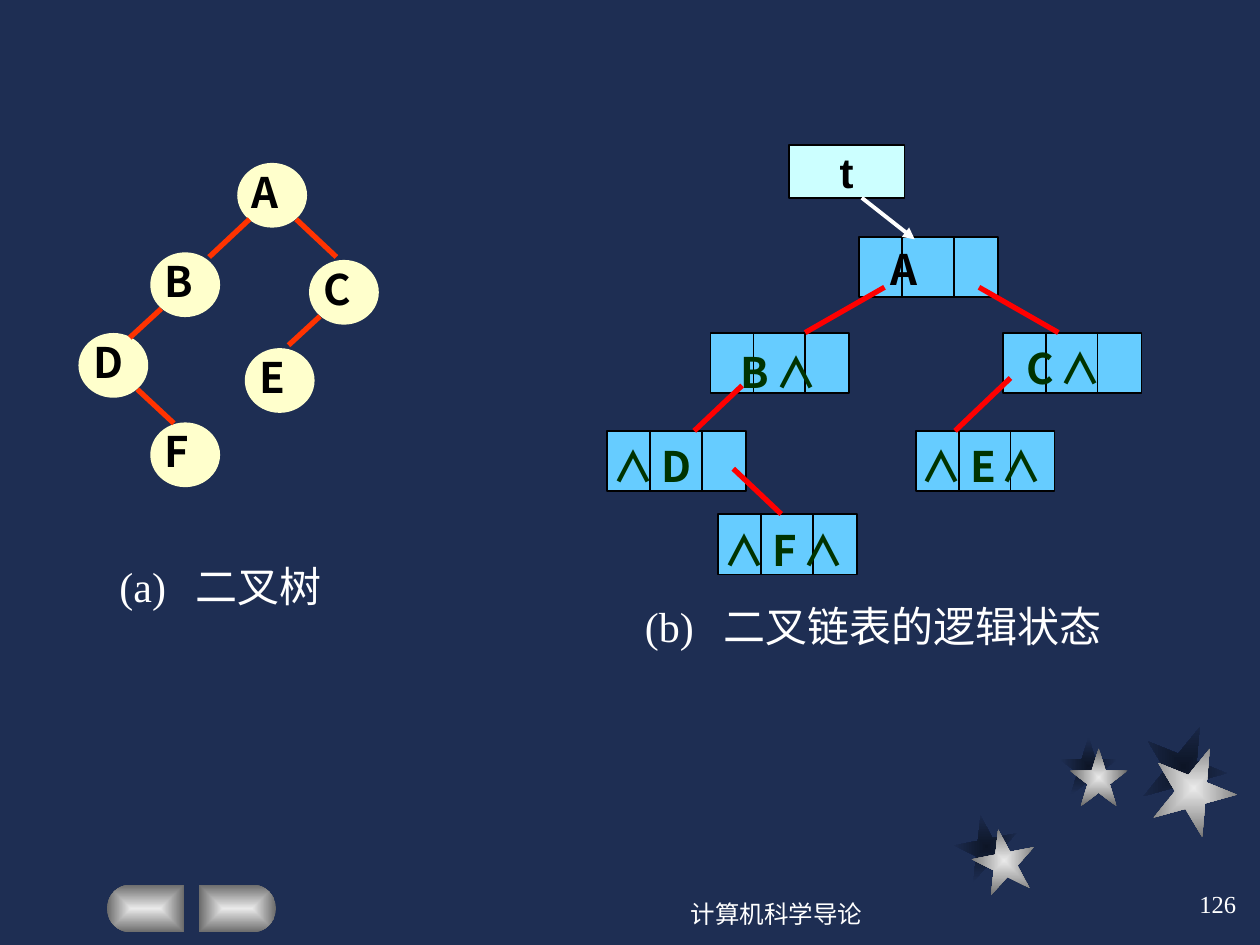
from math import cos, pi, sin

from lxml.etree import SubElement
from pptx import Presentation
from pptx.dml.color import RGBColor
from pptx.enum.shapes import MSO_CONNECTOR, MSO_SHAPE
from pptx.enum.text import MSO_ANCHOR, PP_ALIGN
from pptx.oxml import parse_xml
from pptx.oxml.ns import nsdecls, qn
from pptx.util import Inches, Pt

COLORS = {
    "background": "1E2E53", "shade": "0D1526", "silver": "EAEAEA", "steel": "6B6B6B",
    "node": "FFFFCC", "branch": "FF3300", "record": "66CCFF", "pointer": "CCFFFF",
    "link": "FF0000", "label": "003300", "black": "000000", "white": "FFFFFF",
}
CJK_FONT = "Noto Sans CJK SC"
SERIF_FONT = "Times New Roman"


def color(name):
    """Return the named palette colour."""
    return RGBColor.from_string(COLORS[name])


def fill_text(frame, pieces, font=CJK_FONT, fill="black", bold=False,
              align=PP_ALIGN.LEFT, anchor=MSO_ANCHOR.TOP, tab=None):
    """Write (text, size) pieces as one formatted paragraph."""
    frame.word_wrap = True
    frame.vertical_anchor = anchor
    para = frame.paragraphs[0]
    para.alignment = align
    if tab:
        stops = SubElement(para._p.get_or_add_pPr(), qn("a:tabLst"))
        SubElement(stops, qn("a:tab"), pos=str(Inches(tab)), algn="l")
    for text, size in pieces:
        span = para.add_run()
        span.text = text
        span.font.name = font
        span.font.size = Pt(size)
        span.font.bold = bold
        span.font.color.rgb = color(fill)
        SubElement(span._r.get_or_add_rPr(), qn("a:ea"), typeface=CJK_FONT)


def add_text(page, left, top, width, height, pieces, **style):
    """Add a text box holding one paragraph."""
    box = page.shapes.add_textbox(Inches(left), Inches(top), Inches(width), Inches(height))
    fill_text(box.text_frame, pieces, **style)


def add_box(page, preset, left, top, width, height, fill, line):
    """Add a filled preset shape with a thin outline."""
    shape = page.shapes.add_shape(preset, Inches(left), Inches(top), Inches(width), Inches(height))
    shape.shadow.inherit = False
    shape.fill.solid()
    shape.fill.fore_color.rgb = color(fill)
    shape.line.color.rgb = color(line)
    shape.line.width = Pt(1)
    return shape


def add_line(page, left, top, ends, stroke, width, arrow=False):
    """Draw a straight line whose ends are relative to the given corner."""
    x1, y1, x2, y2 = ends
    line = page.shapes.add_connector(
        MSO_CONNECTOR.STRAIGHT, Inches(left + x1), Inches(top + y1),
        Inches(left + x2), Inches(top + y2))
    line.line.color.rgb = color(stroke)
    line.line.width = Pt(width)
    if arrow:
        SubElement(line.line._get_or_add_ln(), qn("a:tailEnd"), type="triangle")
    SubElement(line._element.spPr, qn("a:effectLst"))


def set_glow(shape, center, edge):
    """Fill a shape with a rectangular gradient and no outline."""
    shape.shadow.inherit = False
    shape.line.fill.background()
    gradient = parse_xml(
        f'<a:gradFill {nsdecls("a")} rotWithShape="1"><a:gsLst>'
        f'<a:gs pos="0"><a:srgbClr val="{COLORS[center]}"/></a:gs>'
        f'<a:gs pos="100000"><a:srgbClr val="{COLORS[edge]}"/></a:gs></a:gsLst>'
        '<a:path path="rect"><a:fillToRect l="50000" t="50000" r="50000" b="50000"/></a:path>'
        '</a:gradFill>')
    shape._element.spPr.find(qn("a:ln")).addprevious(gradient)


def add_stars(page, left, top):
    """Place three silver stars above their dark shadows."""
    layers = [
        ("shade", "background", [(0, 0.72), (0.83, 0.1), (1.48, 0)]),
        ("silver", "steel", [(0.14, 0.83), (0.91, 0.19), (1.56, 0.17)]),
    ]
    forms = [(0.5, 349), (0.46, 0), (0.67, 22)]
    for center, edge, places in layers:
        for (x, y), (size, turn) in zip(places, forms):
            star = page.shapes.add_shape(
                MSO_SHAPE.STAR_5_POINT, Inches(left + x), Inches(top + y),
                Inches(size), Inches(size))
            star.rotation = turn
            set_glow(star, center, edge)


def add_button(page, flat_x, top, direction, width=0.61, height=0.38):
    """Draw a button with a flat side and a round end in the given direction."""
    radius = height / 2
    hub = flat_x + direction * (width - radius)
    angles = [pi * step / 20 - pi / 2 for step in range(21)]
    curve = [(Inches(hub + direction * radius * cos(angle)),
              Inches(top + radius + radius * sin(angle))) for angle in angles]
    builder = page.shapes.build_freeform(Inches(flat_x), Inches(top))
    builder.add_line_segments(curve + [(Inches(flat_x), Inches(top + height))], close=True)
    set_glow(builder.convert_to_shape(), "silver", "steel")


def add_tree(page, left, top):
    """Draw the binary tree with its nodes and branches."""
    nodes = {"A": (1.26, 0), "F": (0.57, 2.06), "E": (1.32, 1.47),
             "D": (0, 1.35), "C": (1.83, 0.77), "B": (0.57, 0.71)}
    branches = [(1.35, 0.44, 1.03, 0.74), (0.46, 1.79, 0.75, 2.06), (1.72, 0.44, 2.04, 0.74),
                (1.91, 1.21, 1.66, 1.44), (0.65, 1.15, 0.4, 1.38)]
    for name, (x, y) in nodes.items():
        add_box(page, MSO_SHAPE.OVAL, left + x, top + y, 0.54, 0.5, "node", "node")
        add_text(page, left + x + 0.01, top + y - 0.03, 0.7, 0.5, [(name, 24)], bold=True)
    for ends in branches:
        add_line(page, left, top, ends, "branch", 3)


def add_record(page, left, top, pieces, shift, drop, fill):
    """Draw one three-field record and its label."""
    width, height = 1.1, 0.48
    add_box(page, MSO_SHAPE.RECTANGLE, left, top, width, height, "record", "black")
    for x in (0.34, 0.75):
        add_line(page, left, top, (x, 0, x, height), "black", 1)
    add_text(page, left + shift, top + drop, 1.32, 0.5, pieces, fill=fill, bold=True)


def add_linked_list(page, left, top):
    """Draw the linked records, their links and the root pointer."""
    null = ("∧", 24)
    records = [
        (0, 2.27, [null, (" ", 18), ("D", 24)], -0.06, 0.03, "label"),
        (2, 0.73, [("A", 24)], 0.15, 0, "black"),
        (0.82, 1.49, [("B", 24), (" ", 16), null], 0.14, 0.06, "label"),
        (3.14, 1.49, [("C", 24), (" ", 14), null], 0.09, 0.03, "label"),
        (2.45, 2.27, [null, (" ", 18), ("E", 24), (" ", 12), null], -0.06, 0.03, "label"),
        (0.88, 2.93, [null, (" ", 18), ("F", 24), (" ", 14), null], -0.06, 0.03, "label"),
    ]
    links = [(2.2, 1.13, 1.57, 1.49), (2.95, 1.13, 3.58, 1.49), (1.07, 1.91, 0.69, 2.27),
             (3.2, 1.85, 2.76, 2.27), (1, 2.57, 1.38, 2.93)]
    for x, y, *label in records:
        add_record(page, left + x, top + y, *label)
    for ends in links:
        add_line(page, left, top, ends, "link", 3)
    pointer = add_box(page, MSO_SHAPE.RECTANGLE, left + 1.44, top, 0.92, 0.42, "pointer", "black")
    fill_text(pointer.text_frame, [("t", 24)], font="Arial", bold=True,
              align=PP_ALIGN.CENTER, anchor=MSO_ANCHOR.MIDDLE)
    add_line(page, left, top, (2.02, 0.42, 2.44, 0.75), "white", 2.25, arrow=True)


def add_footer(page, left, top):
    """Place the course name and the page number."""
    style = {"font": SERIF_FONT, "fill": "white", "anchor": MSO_ANCHOR.MIDDLE}
    add_text(page, left, top + 0.08, 3.17, 0.5, [("计算机科学导论", 14)],
             align=PP_ALIGN.CENTER, **style)
    add_text(page, left + 3.25, top, 2.08, 0.5, [("126", 14)], align=PP_ALIGN.RIGHT, **style)


def main():
    """Build and save the deck."""
    deck = Presentation()
    deck.slide_width, deck.slide_height = Inches(10), Inches(7.5)
    page = deck.slides.add_slide(deck.slide_layouts[6])
    page.background.fill.solid()
    page.background.fill.fore_color.rgb = color("background")
    add_stars(page, 7.58, 5.75)
    add_button(page, 1.46, 7.02, -1)
    add_button(page, 1.58, 7.02, 1)
    add_tree(page, 0.63, 1.3)
    add_linked_list(page, 4.82, 1.15)
    caption = {"font": SERIF_FONT, "fill": "white"}
    add_text(page, 0.85, 4.4, 1.9, 0.5, [("(a)\t二叉树", 24)], tab=0.6, **caption)
    add_text(page, 5.02, 4.72, 3.95, 0.5, [("(b)\t二叉链表的逻辑状态", 24)], tab=0.62, **caption)
    add_footer(page, 4.58, 6.92)
    deck.save("out.pptx")


if __name__ == "__main__":
    main()
